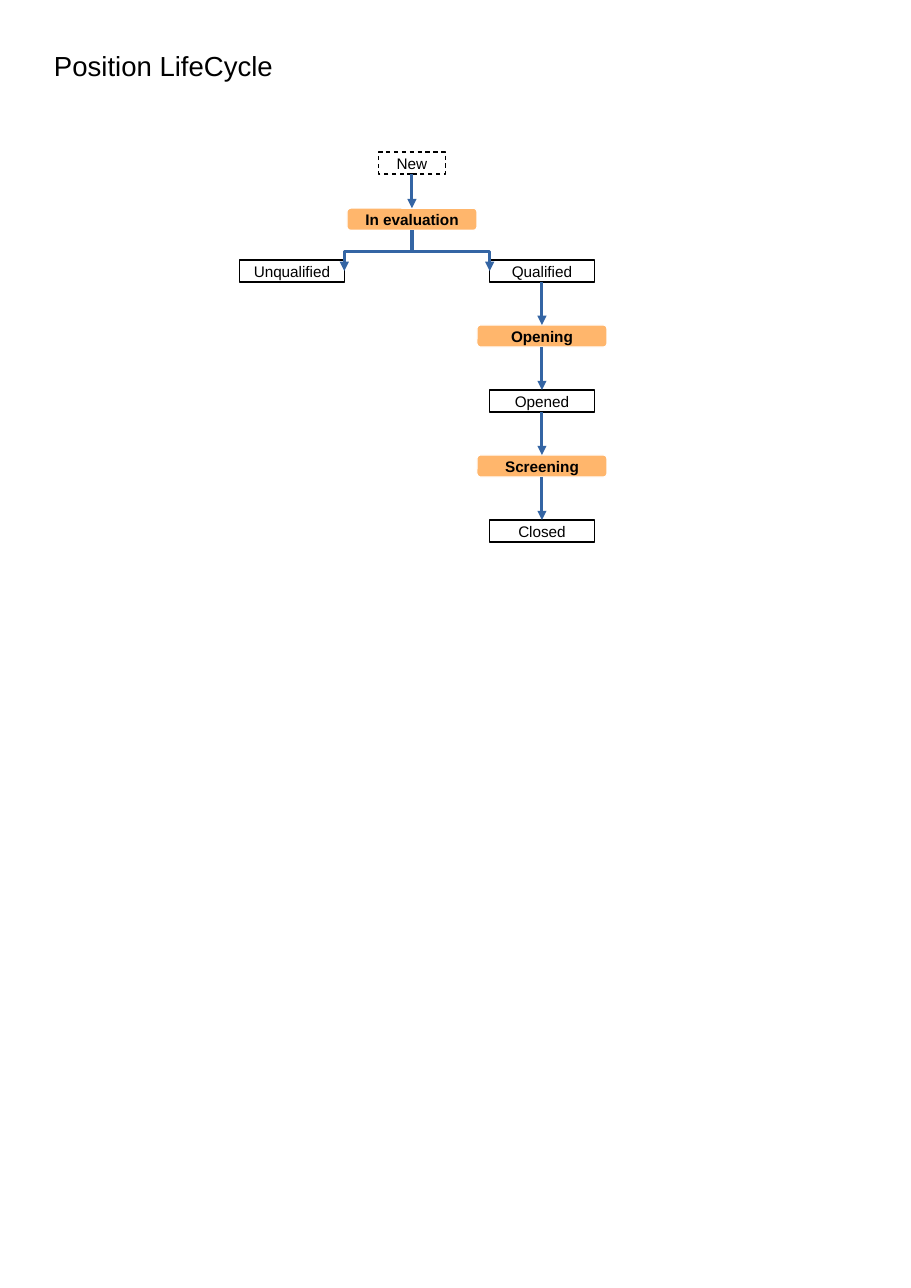
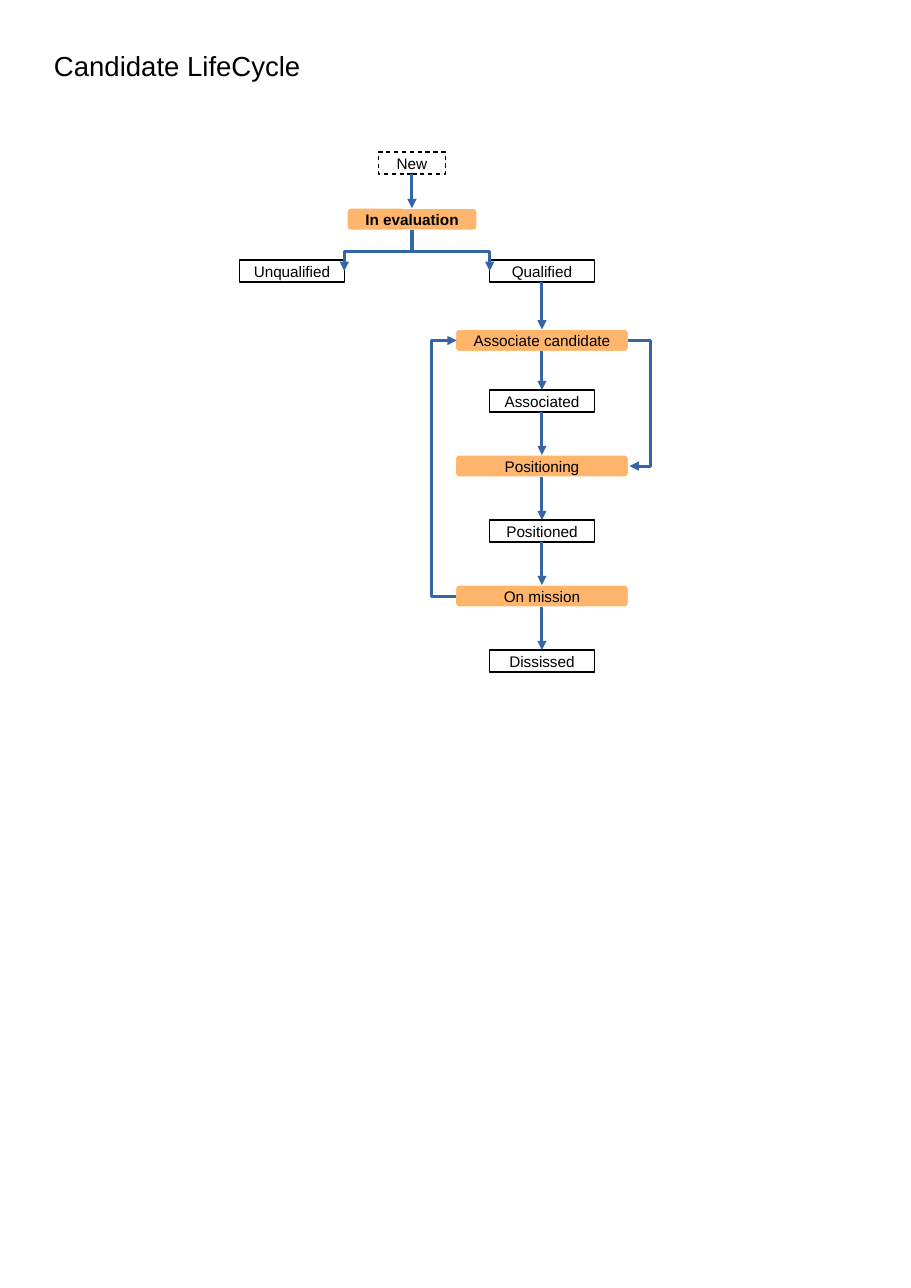
"""Draws the position and candidate life cycles as two flow charts."""
from dataclasses import dataclass
from itertools import pairwise

from lxml.etree import SubElement as Sub
from pptx import Presentation
from pptx.dml.color import RGBColor as Rgb
from pptx.enum.dml import MSO_LINE as Dash
from pptx.enum.shapes import MSO_CONNECTOR as Conn, MSO_SHAPE as Kind
from pptx.enum.text import MSO_ANCHOR as Anchor, MSO_AUTO_SIZE as Fit, PP_ALIGN as Align
from pptx.oxml.ns import qn
from pptx.util import Inches, Pt


@dataclass(frozen=True)
class Theme:
    ink: Rgb = Rgb(0, 0, 0)
    paper: Rgb = Rgb(255, 255, 255)
    task: Rgb = Rgb(0xFF, 0xB6, 0x6C)
    arrow: Rgb = Rgb(0x34, 0x65, 0xA4)
    font: str = "Arial"
    head: int = 18
    body: int = 10


LOOK = Theme()
TOP, LEFT, BASE, RIGHT = range(4)
HIGH, STATE, TASK, WIDE = 0.2, 0.95, 1.18, 1.57
ROOT, MAIN, SIDE = 3.74, 4.92, 2.65
START, STEP = 2.36, 0.59


def write(frame, text, size, align, bold=False):
    para = frame.paragraphs[0]
    para.alignment = align
    run = para.add_run()
    run.text = text
    font = run.font
    font.name, font.size, font.bold = LOOK.font, Pt(size), bold
    font.color.rgb = LOOK.ink


def page(deck, text):
    slide = deck.slides.add_slide(deck.slide_layouts[5])
    title = slide.shapes.title
    title.left, title.top = Inches(0.39), Inches(0.39)
    title.width, title.height = Inches(2.56), Inches(0.38)
    frame = title.text_frame
    frame.word_wrap = True
    frame.auto_size = Fit.SHAPE_TO_FIT_TEXT
    frame.vertical_anchor = Anchor.TOP
    write(frame, text, LOOK.head, Align.LEFT)
    return slide


def box(slide, text, mid, top, wide, kind, fill, edge, bold=False):
    shape = slide.shapes.add_shape(kind, Inches(mid - wide / 2), Inches(top),
                                   Inches(wide), Inches(HIGH))
    shape.shadow.inherit = False
    shape.fill.solid()
    shape.fill.fore_color.rgb = fill
    shape.line.color.rgb = edge
    shape.line.width = Pt(0)
    frame = shape.text_frame
    frame.word_wrap = True
    frame.vertical_anchor = Anchor.MIDDLE
    write(frame, text, LOOK.body, Align.CENTER, bold)
    return shape


def state(slide, text, mid, top, wide=STATE):
    return box(slide, text, mid, top, wide, Kind.RECTANGLE, LOOK.paper, LOOK.ink)


def task(slide, text, mid, top, wide=TASK, bold=True):
    return box(slide, text, mid, top, wide, Kind.ROUNDED_RECTANGLE,
               LOOK.task, LOOK.paper, bold)


def link(slide, one, two, out=BASE, into=TOP, kind=Conn.STRAIGHT):
    line = slide.shapes.add_connector(kind, 0, 0, 0, 0)
    line.begin_connect(one, out)
    line.end_connect(two, into)
    line.line.color.rgb = LOOK.arrow
    line.line.width = Pt(0)
    props = line.element.spPr
    Sub(props.find(qn("a:ln")), qn("a:tailEnd"), type="triangle")
    Sub(props, qn("a:effectLst"))
    return line


def bend(line, turn, flip, ratio):
    props = line.element.spPr
    frame = props.find(qn("a:xfrm"))
    for key in ("flipH", "flipV"):
        frame.attrib.pop(key, None)
    frame.set("rot", str(turn * 60000))
    if flip:
        frame.set("flipH", "1")
    guides = props.find(qn("a:prstGeom")).get_or_add_avLst()
    Sub(guides, qn("a:gd"), name="adj1", fmla=f"val {round(ratio * 100000)}")


def fork(slide, one, two, into, turn, flip):
    line = link(slide, one, two, BASE, into, Conn.ELBOW)
    wide, high = line.width, line.height
    line.left += (wide - high) // 2
    line.top += (high - wide) // 2
    line.width, line.height = high, wide
    bend(line, turn, flip, 0.53)


def loop(slide, one, two, end, turn, flip, reach):
    line = link(slide, one, two, end, end, Conn.ELBOW)
    thin = 0.01
    line.width = Inches(thin)
    bend(line, turn, flip, reach / thin)


def chain(slide, items):
    for one, two in pairwise(items):
        link(slide, one, two)


def intake(slide):
    new = state(slide, "New", ROOT, 1.38, 0.61)
    new.line.dash_style = Dash.DASH
    check = task(slide, "In evaluation", ROOT, 1.89)
    good = state(slide, "Qualified", MAIN, START)
    bad = state(slide, "Unqualified", SIDE, START)
    link(slide, new, check)
    fork(slide, check, bad, RIGHT, 90, False)
    fork(slide, check, good, LEFT, 270, True)
    return good


def row(num):
    return START + STEP * num


def position(deck):
    slide = page(deck, "Position LifeCycle")
    chain(slide, [
        intake(slide),
        task(slide, "Opening", MAIN, row(1)),
        state(slide, "Opened", MAIN, row(2)),
        task(slide, "Screening", MAIN, row(3)),
        state(slide, "Closed", MAIN, row(4)),
    ])


def person(deck):
    slide = page(deck, "Candidate LifeCycle")
    good = intake(slide)
    match = task(slide, "Associate candidate", MAIN, row(1) + 0.04, WIDE, False)
    tied = state(slide, "Associated", MAIN, row(2))
    place = task(slide, "Positioning", MAIN, row(3), WIDE, False)
    done = state(slide, "Positioned", MAIN, row(4))
    work = task(slide, "On mission", MAIN, row(5), WIDE, False)
    gone = state(slide, "Dississed", MAIN, row(6))
    chain(slide, [good, match, tied, place, done, work, gone])
    loop(slide, match, place, RIGHT, 0, False, 0.2)
    loop(slide, work, match, LEFT, 180, True, -0.22)


def main():
    deck = Presentation()
    deck.slide_width, deck.slide_height = Inches(8.27), Inches(11.69)
    position(deck)
    person(deck)
    deck.save("out.pptx")


if __name__ == "__main__":
    main()
